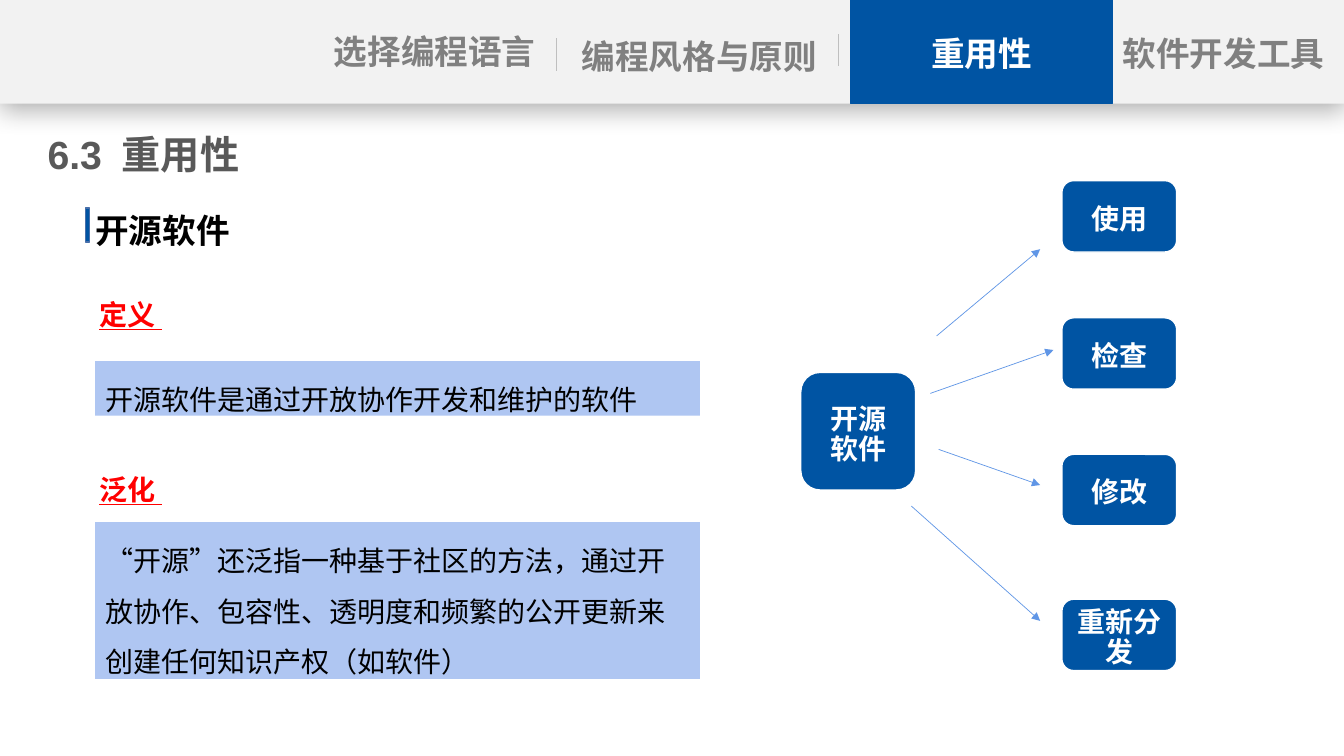
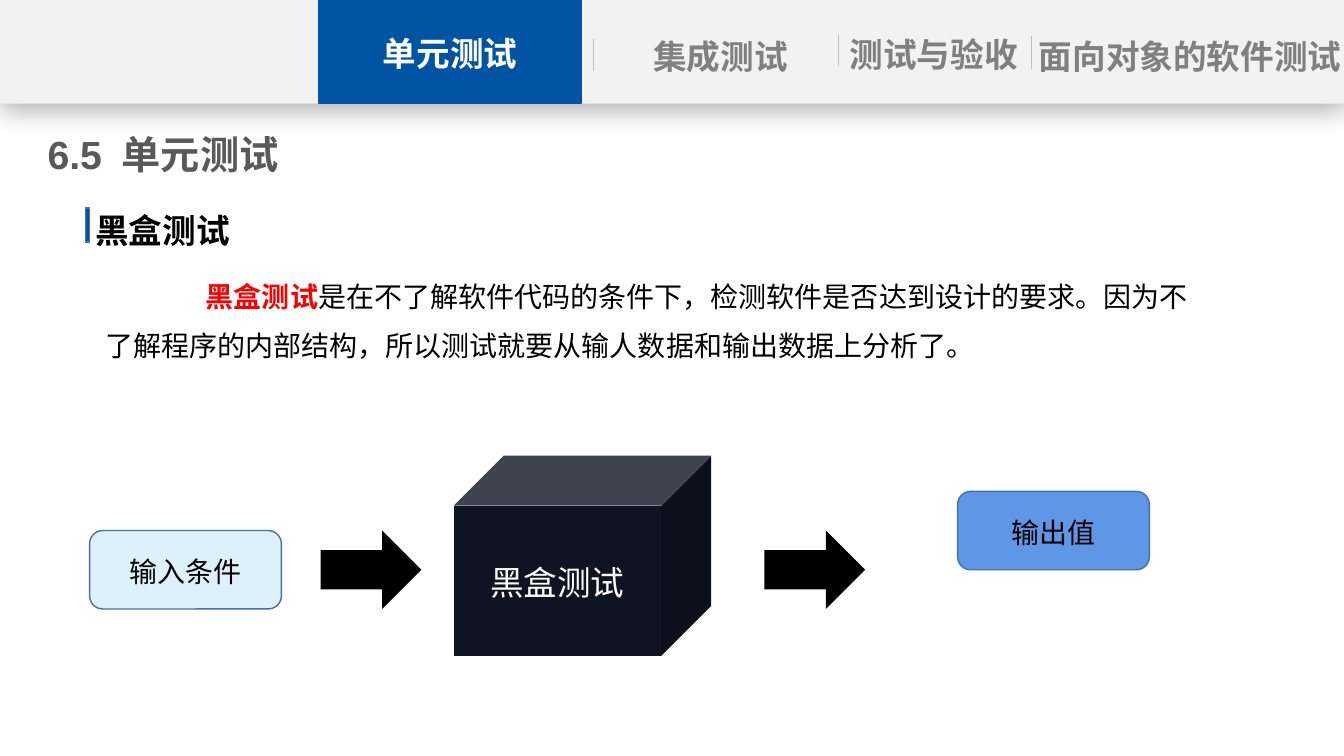
from lxml import etree
from pptx import Presentation
from pptx.dml.color import RGBColor
from pptx.enum import shapes, text
from pptx.oxml.ns import qn
from pptx.util import Pt

# Shared style
BLUE, OUTLINE, ARROW = "0054A3", "476FAA", "6096E6"
BAND, DIVIDER, TAB_GREY, TITLE_GREY = "F2F2F2", "BFBFBF", "808080", "595959"
PALE, SKY, NIGHT = "AFC6F2", "DEF0FA", "0F1423"
BLACK, WHITE, RED = "000000", "FFFFFF", "FF0000"
LATIN, ASIAN = "Arial", "Noto Sans CJK SC"
WIDTH, HEIGHT, BAND_HEIGHT = 960, 540, 74
CENTER = text.PP_ALIGN.CENTER
SHAPE = shapes.MSO_SHAPE
FLAT = (0, 3.6, 0, 3.6)
PADDED = (7.2, 3.6, 7.2, 3.6)


def color(value):
    return RGBColor.from_string(value)


def element(parent, tag, **attributes):
    return etree.SubElement(parent, qn(tag), {k: str(v) for k, v in attributes.items()})


class Slides:
    def __init__(self):
        self.deck = Presentation()
        self.deck.slide_width, self.deck.slide_height = Pt(WIDTH), Pt(HEIGHT)
        self.page = None

    def set_text(self, box, spans, size, ink, bold=False, align=None, leading=None,
                 insets=PADDED, middle=False, underline=None, indent=None, tab=None,
                 latin=LATIN):
        """Fill a box with one paragraph; spans is a text or (text, ink, bold) items."""
        frame = box.text_frame
        frame.word_wrap = True
        frame.vertical_anchor = text.MSO_ANCHOR.MIDDLE if middle else text.MSO_ANCHOR.TOP
        (frame.margin_left, frame.margin_top,
         frame.margin_right, frame.margin_bottom) = map(Pt, insets)
        para = frame.paragraphs[0]
        para.alignment = align or text.PP_ALIGN.LEFT
        para.line_spacing = Pt(leading or round(size * 1.3, 1))
        properties = para._p.get_or_add_pPr()
        if indent:
            left, first = indent
            properties.set("marL", str(Pt(left)))
            properties.set("indent", str(Pt(first)))
        if tab:
            element(element(properties, "a:tabLst"), "a:tab", pos=Pt(tab), algn="l")
        font = para.font
        font.size, font.bold, font.name, font.underline = Pt(size), bold, latin, underline
        font.color.rgb = color(ink)
        element(properties.find(qn("a:defRPr")), "a:ea", typeface=ASIAN)
        if isinstance(spans, str):
            para.add_run().text = spans
            return
        for words, span_ink, span_bold in spans:
            span = para.add_run()
            span.text = words
            span.font.color.rgb, span.font.bold = color(span_ink), span_bold

    def label(self, place, spans, size, ink, **style):
        box = self.page.shapes.add_textbox(*map(Pt, place))
        self.set_text(box, spans, size, ink, **style)

    def shape(self, kind, place, fill, line=None):
        box = self.page.shapes.add_shape(kind, *map(Pt, place))
        box.shadow.inherit = False
        box.fill.solid()
        box.fill.fore_color.rgb = color(fill)
        if line:
            box.line.color.rgb, box.line.width = color(line), Pt(1)
        else:
            box.line.fill.background()
        return box

    def line(self, start, end, ink, arrow=False):
        link = self.page.shapes.add_connector(
            shapes.MSO_CONNECTOR.STRAIGHT, *map(Pt, (*start, *end)))
        link.line.color.rgb, link.line.width = color(ink), Pt(0.5)
        properties = link._element.spPr
        if arrow:
            element(properties.find(qn("a:ln")), "a:tailEnd", type="triangle")
        element(properties, "a:effectLst")

    def start(self, number, title, heading, active_left, tabs, dividers):
        """Add a page with its navigation band, title and heading."""
        self.page = self.deck.slides.add_slide(self.deck.slide_layouts[6])
        # Navigation band with a soft shadow
        band = self.shape(SHAPE.RECTANGLE, (0, 0, WIDTH, BAND_HEIGHT), BAND)
        shadow = element(band._element.spPr.find(qn("a:effectLst")), "a:outerShdw",
                         blurRad=Pt(18), dist=Pt(4), dir=5400000, algn="t", rotWithShape=0)
        element(element(shadow, "a:srgbClr", val=BLACK), "a:alpha", val=29000)
        for left, top in dividers:
            self.line((left, top), (left, top + 23), DIVIDER)
        for words, left, top, width in tabs:
            self.label((left, top, width, 37), words, 24, TAB_GREY, bold=True,
                       align=CENTER, insets=FLAT)
        active = self.shape(SHAPE.RECTANGLE, (active_left, 0, 187, BAND_HEIGHT), BLUE, BLUE)
        self.set_text(active, title, 24, WHITE, bold=True, align=CENTER, middle=True)
        # Title and heading
        self.label((34, 87, 238, 42), f"{number}\t{title}", 28, TITLE_GREY,
                   bold=True, insets=FLAT, tab=53)
        self.shape(SHAPE.RECTANGLE, (61.3, 148.5, 2.5, 24.5), BLUE, OUTLINE)
        self.label((61, 144, 399, 36), heading, 24, BLACK, bold=True)

    def term(self, top, words):
        self.label((64, top, 498, 40), words, 20, RED, bold=True, underline=True, leading=36)

    def panel(self, top, height, words):
        box = self.shape(SHAPE.RECTANGLE, (68, top, 432, height), PALE)
        self.set_text(box, words, 20, BLACK, leading=36)

    def node(self, left, top, height, words):
        box = self.shape(SHAPE.ROUNDED_RECTANGLE, (left, top, 82, height), BLUE, WHITE)
        self.set_text(box, words, 20, WHITE, bold=True, align=CENTER, leading=21.5,
                      insets=(8, 6, 8, 1), middle=True)

    def endpoint(self, left, top, fill, words):
        box = self.shape(SHAPE.ROUNDED_RECTANGLE, (left, top, 137, 56), fill, OUTLINE)
        self.set_text(box, words, 20, BLACK, align=CENTER, middle=True, latin=ASIAN)


def open_source(slides):
    slides.start("6.3", "重用性", "开源软件", 607.5,
                 tabs=[("选择编程语言", 225, 16, 171),
                       ("编程风格与原则", 400, 19.5, 199),
                       ("软件开发工具", 799, 17.5, 150)],
                 dividers=[(397.5, 27.5), (598.5, 24.5)])
    # Definition and wider meaning
    slides.term(197, "定义 ")
    slides.panel(258, 39, "开源软件是通过开放协作开发和维护的软件")
    slides.term(322, "泛化 ")
    slides.panel(373, 112, "“开源”还泛指一种基于社区的方法，通过开放协作、包容性、"
                           "透明度和频繁的公开更新来创建任何知识产权（如软件）")
    # Freedoms that branch from open source software
    slides.node(572, 266, 84, "开源软件")
    branches = [("使用", 129, (669, 240), (743, 178)),
                ("检查", 227, (664.5, 281), (752.5, 250)),
                ("修改", 324.5, (670.5, 321), (743, 346.5)),
                ("重新分发", 428, (651, 361.5), (743, 443.5))]
    for words, top, start, end in branches:
        slides.node(758.5, top, 51, words)
        slides.line(start, end, ARROW, arrow=True)


def black_box(slides):
    slides.start("6.5", "单元测试", "黑盒测试", 228,
                 tabs=[("集成测试", 430.5, 19.5, 168.5),
                       ("测试与验收", 592, 18, 150),
                       ("面向对象的软件测试", 741, 19.5, 218)],
                 dividers=[(423.5, 28), (598.5, 24.5), (736.5, 26)])
    # Explanation
    slides.label((47, 185, 826, 78),
                 [("黑盒测试", RED, True),
                  ("是在不了解软件代码的条件下，检测软件是否达到设计的要求。因为不了解程序的"
                   "内部结构，所以测试就要从输人数据和输出数据上分析了。", BLACK, False)],
                 20, BLACK, leading=35, indent=(21, 72), latin=ASIAN)
    # Input, black box, output
    slides.endpoint(64, 379, SKY, "输入条件")
    cube = slides.shape(SHAPE.CUBE, (324, 325.5, 184, 143), NIGHT)
    slides.set_text(cube, "黑盒测试", 24, WHITE, align=CENTER, middle=True)
    slides.endpoint(684, 351, ARROW, "输出值")
    for left in (229, 546):
        slides.shape(SHAPE.RIGHT_ARROW, (left, 379, 72, 56), BLACK)


def main():
    slides = Slides()
    open_source(slides)
    black_box(slides)
    slides.deck.save("out.pptx")


if __name__ == "__main__":
    main()
